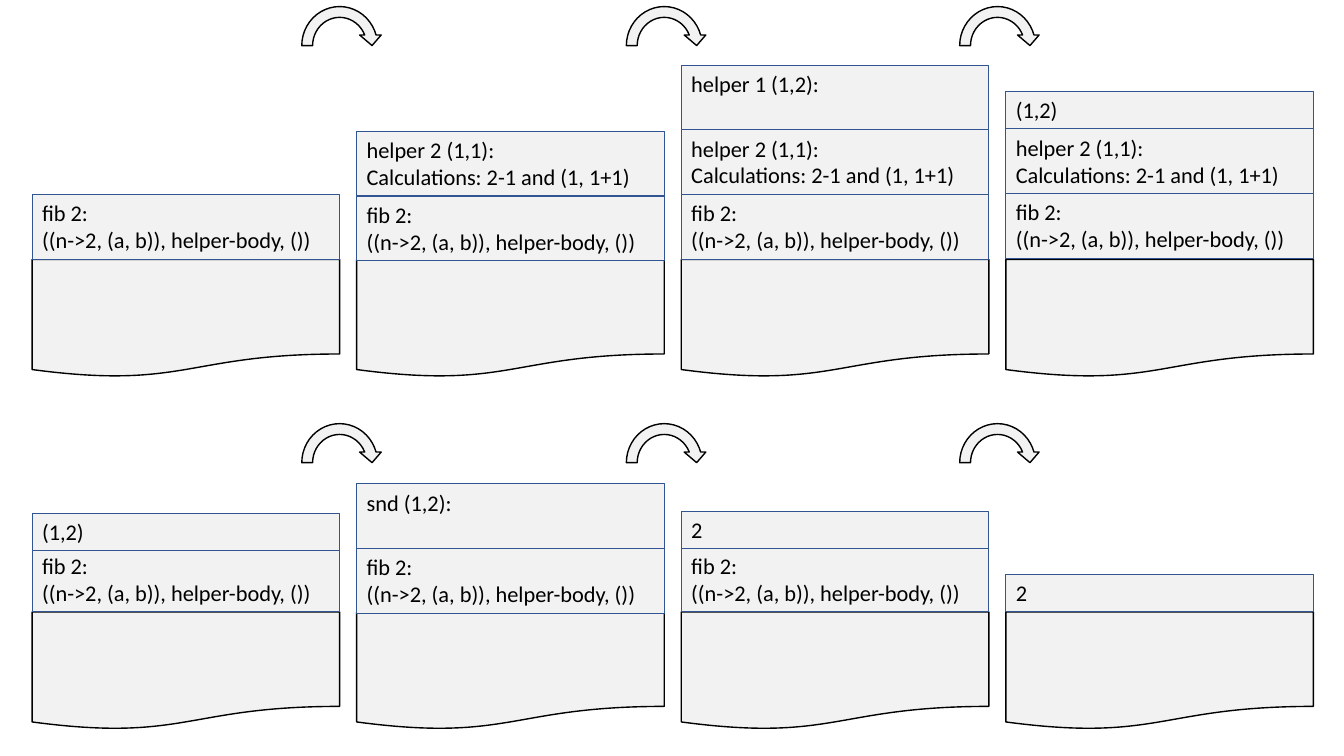
from dataclasses import dataclass

from pptx import Presentation
from pptx import util as u
from pptx.dml.color import RGBColor
from pptx.enum import shapes, text

LEFT, PITCH, WIDTH = 0.81, 8.18, 7.75
TALL, SHORT = 1.63, 0.94
BASE_HEIGHT = 2.97
ARROW_LEFTS = (7.47, 15.65, 24.05)
ARROW_WIDTH, ARROW_HEIGHT = 2.18, 2.24
GREY, BLACK, BLUE = "F2F2F2", "000000", "325491"


@dataclass
class Frame:
    """One stack frame: its lines, height and overlap with the part below."""
    lines: tuple
    height: float = TALL
    overlap: float = 0


FIB = Frame(("fib 2:", "((n->2, (a, b)), helper-body, ())"))
HELPER_2 = Frame(("helper 2 (1,1):", "Calculations: 2-1 and (1, 1+1)"))
HELPER_1 = Frame(("helper 1 (1,2):",))
SND = Frame(("snd (1,2):",))
PAIR = Frame(("(1,2)",), SHORT)
LOW_PAIR = Frame(("(1,2)",), SHORT, 0.08)
RESULT = Frame(("2",), SHORT)
LOW_RESULT = Frame(("2",), SHORT, 0.03)

# Each row: arrow top, base top, then (bottom of frames, frames upwards).
ROWS = (
    (0.03, 6.54, (
        (6.53, (FIB,)),
        (6.57, (FIB, HELPER_2)),
        (6.53, (FIB, HELPER_2, HELPER_1)),
        (6.51, (FIB, HELPER_2, PAIR)))),
    (10.54, 15.42, (
        (15.42, (FIB, LOW_PAIR)),
        (15.45, (FIB, SND)),
        (15.42, (FIB, LOW_RESULT)),
        (15.42, (RESULT,)))),
)


def colour(value):
    """Turn a hex string into a colour."""
    return RGBColor.from_string(value)


def add_shape(slide, kind, box, line_colour=BLACK, line_width=1):
    """Add a grey preset shape; box is left, top, width, height in cm."""
    shape = slide.shapes.add_shape(kind, *(u.Cm(length) for length in box))
    shape.shadow.inherit = False
    shape.fill.solid()
    shape.fill.fore_color.rgb = colour(GREY)
    shape.line.color.rgb = colour(line_colour)
    shape.line.width = u.Pt(line_width)
    return shape


def add_frame(slide, left, top, frame):
    """Add a stack frame with its text at the top left."""
    shape = add_shape(slide, shapes.MSO_SHAPE.RECTANGLE,
                      (left, top, WIDTH, frame.height), BLUE, 0.75)
    text_frame = shape.text_frame
    text_frame.word_wrap = True
    text_frame.vertical_anchor = text.MSO_ANCHOR.TOP
    for index, line in enumerate(frame.lines):
        paragraph = (text_frame.add_paragraph() if index
                     else text_frame.paragraphs[0])
        paragraph.alignment = text.PP_ALIGN.LEFT
        run = paragraph.add_run()
        run.text = line
        run.font.name = "Calibri"
        run.font.size = u.Pt(16)
        run.font.color.rgb = colour(BLACK)


def add_stack(slide, left, base_top, bottom, frames):
    """Add the wavy base and pile the frames on it."""
    add_shape(slide, shapes.MSO_SHAPE.FLOWCHART_DOCUMENT,
              (left, base_top, WIDTH, BASE_HEIGHT))
    top = bottom
    for frame in frames:
        top += frame.overlap - frame.height
        add_frame(slide, left, top, frame)


def main():
    """Build the slide with two rows of call stacks."""
    presentation = Presentation()
    presentation.slide_width = u.Cm(33.87)
    presentation.slide_height = u.Cm(19.05)
    slide = presentation.slides.add_slide(presentation.slide_layouts[6])
    for arrow_top, base_top, stacks in ROWS:
        for column, (bottom, frames) in enumerate(stacks):
            add_stack(slide, LEFT + column * PITCH, base_top, bottom, frames)
        for arrow_left in ARROW_LEFTS:
            add_shape(slide, shapes.MSO_SHAPE.CIRCULAR_ARROW,
                      (arrow_left, arrow_top, ARROW_WIDTH, ARROW_HEIGHT))
    presentation.save("out.pptx")


main()
